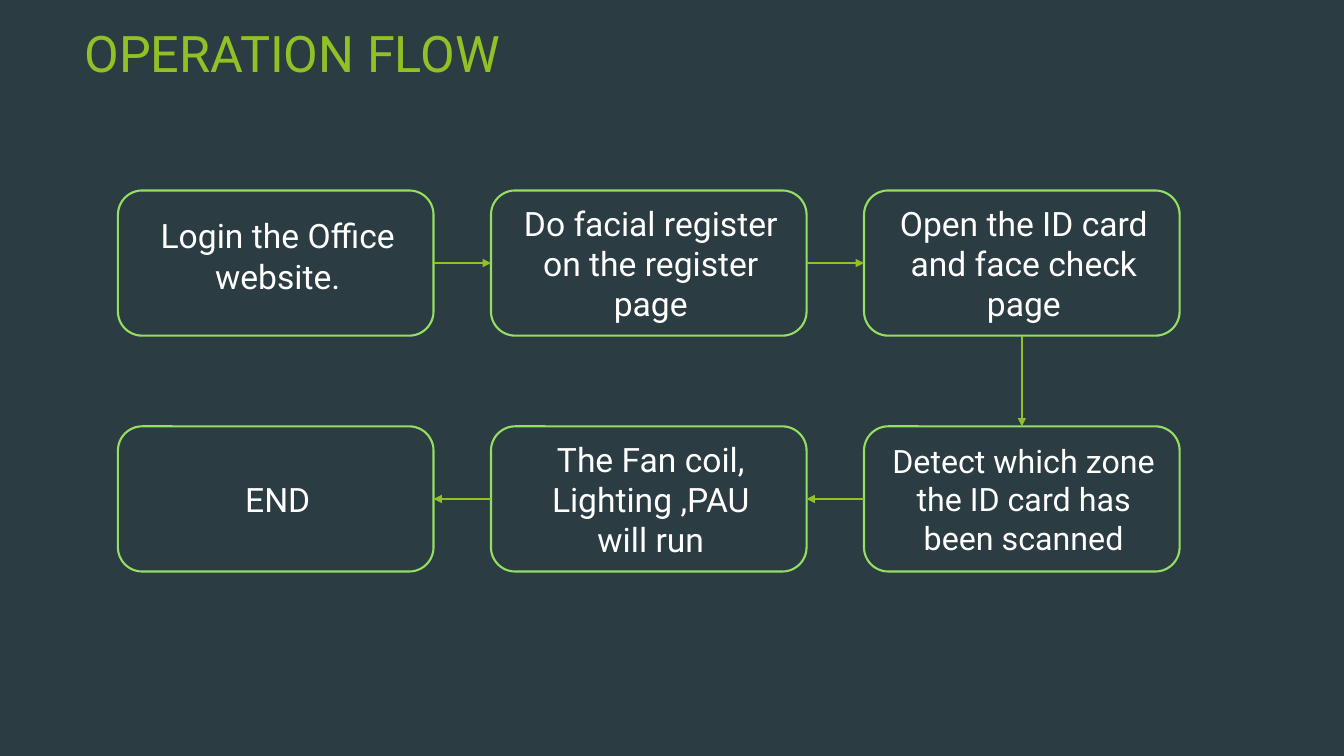
import pptx
import pptx.dml.color
import pptx.enum.shapes
import pptx.enum.text
import pptx.oxml
import pptx.oxml.ns
import pptx.util

COLOURS = {
    "background": "2C3C43",
    "accent": "90C226",
    "outline": "94DE61",
    "text": "FFFFFF",
}
FONT = "Roboto"
TOP, LEFT, BOTTOM, RIGHT = range(4)  # connection sites of a rectangle

FLOW_BOX = (1.17, 1.89, 10.53, 3.78)
STEP_WIDTH, STEP_HEIGHT = 3.13, 1.44
COLUMNS, ROWS = 3, 2

# column, row, text size, space kept free under the text, paragraphs
STEPS = [
    (0, 0, 24, 0.2, ["Login the Office website."]),
    (1, 0, 24, 0.05, ["Do facial register on the register page"]),
    (2, 0, 24, 0.05, ["Open the ID card and face check page"]),
    (2, 1, 23, 0.05, ["Detect which zone the ID card has been scanned"]),
    (1, 1, 24, 0.05, ["The Fan coil, Lighting ,PAU", "will run"]),
    (0, 1, 24, 0.05, ["END"]),
]
# sites where the arrow from each step to the next one leaves and arrives
ARROW_SITES = [(RIGHT, LEFT), (RIGHT, LEFT), (BOTTOM, TOP), (LEFT, RIGHT), (LEFT, RIGHT)]


def colour(name):
    return pptx.dml.color.RGBColor.from_string(COLOURS[name])


def inches(*lengths):
    return [pptx.util.Inches(length) for length in lengths]


def add_text(paragraph, text, size, colour_name):
    run = paragraph.add_run()
    run.text = text
    run.font.name = FONT
    run.font.size = pptx.util.Pt(size)
    run.font.color.rgb = colour(colour_name)


def add_title(slide, box, text):
    frame = slide.shapes.add_textbox(*inches(*box)).text_frame
    frame.word_wrap = True
    frame.vertical_anchor = pptx.enum.text.MSO_ANCHOR.TOP
    add_text(frame.paragraphs[0], text, 36, "accent")


def add_step(slide, box, size, bottom_margin, lines):
    shape = slide.shapes.add_shape(
        pptx.enum.shapes.MSO_SHAPE.ROUNDED_RECTANGLE, *inches(*box))
    shape.shadow.inherit = False
    shape.fill.background()
    shape.line.color.rgb = colour("outline")
    shape.line.width = pptx.util.Pt(1.5)
    frame = shape.text_frame
    frame.word_wrap = True
    frame.vertical_anchor = pptx.enum.text.MSO_ANCHOR.MIDDLE
    frame.margin_left, frame.margin_right = inches(0.21, 0.17)
    frame.margin_top, frame.margin_bottom = inches(0.05, bottom_margin)
    for index, line in enumerate(lines):
        paragraph = frame.add_paragraph() if index else frame.paragraphs[0]
        paragraph.alignment = pptx.enum.text.PP_ALIGN.CENTER
        add_text(paragraph, line, size, "text")
    return shape


def add_arrow(slide, start, start_site, end, end_site):
    arrow = slide.shapes.add_connector(
        pptx.enum.shapes.MSO_CONNECTOR.STRAIGHT, 0, 0, 0, 0)
    arrow.begin_connect(start, start_site)
    arrow.end_connect(end, end_site)
    arrow.line.color.rgb = colour("accent")
    arrow.line.width = pptx.util.Pt(1)
    head = pptx.oxml.parse_xml(
        f'<a:tailEnd {pptx.oxml.ns.nsdecls("a")} type="triangle"/>')
    arrow.line._get_or_add_ln().append(head)
    arrow._element.spPr.append(
        pptx.oxml.parse_xml(f'<a:effectLst {pptx.oxml.ns.nsdecls("a")}/>'))


def add_flow(slide, box):
    """Spread the steps over a grid that fills the box and join them in order."""
    left, top, width, height = box
    column_pitch = (width - STEP_WIDTH) / (COLUMNS - 1)
    row_pitch = (height - STEP_HEIGHT) / (ROWS - 1)
    shapes = []
    for column, row, size, bottom_margin, lines in STEPS:
        step_box = (left + column * column_pitch, top + row * row_pitch,
                    STEP_WIDTH, STEP_HEIGHT)
        shapes.append(add_step(slide, step_box, size, bottom_margin, lines))
    for start, end, (start_site, end_site) in zip(shapes, shapes[1:], ARROW_SITES):
        add_arrow(slide, start, start_site, end, end_site)


def main():
    presentation = pptx.Presentation()
    presentation.slide_width, presentation.slide_height = inches(13.33, 7.5)
    slide = presentation.slides.add_slide(presentation.slide_layouts[6])
    slide.background.fill.solid()
    slide.background.fill.fore_color.rgb = colour("background")
    add_title(slide, (0.74, 0.17, 9.4, 1.44), "OPERATION FLOW")
    add_flow(slide, FLOW_BOX)
    presentation.save("out.pptx")


if __name__ == "__main__":
    main()
